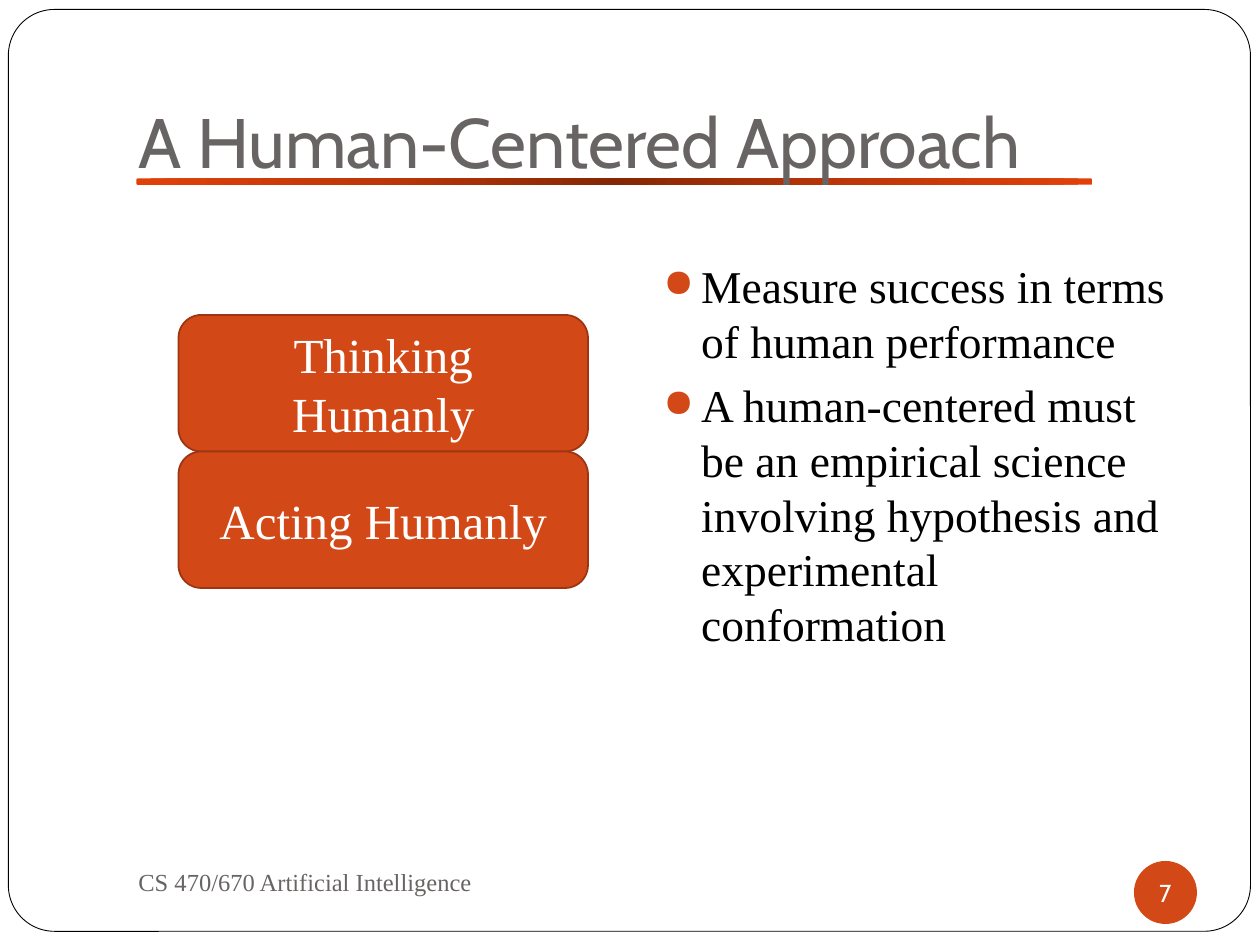
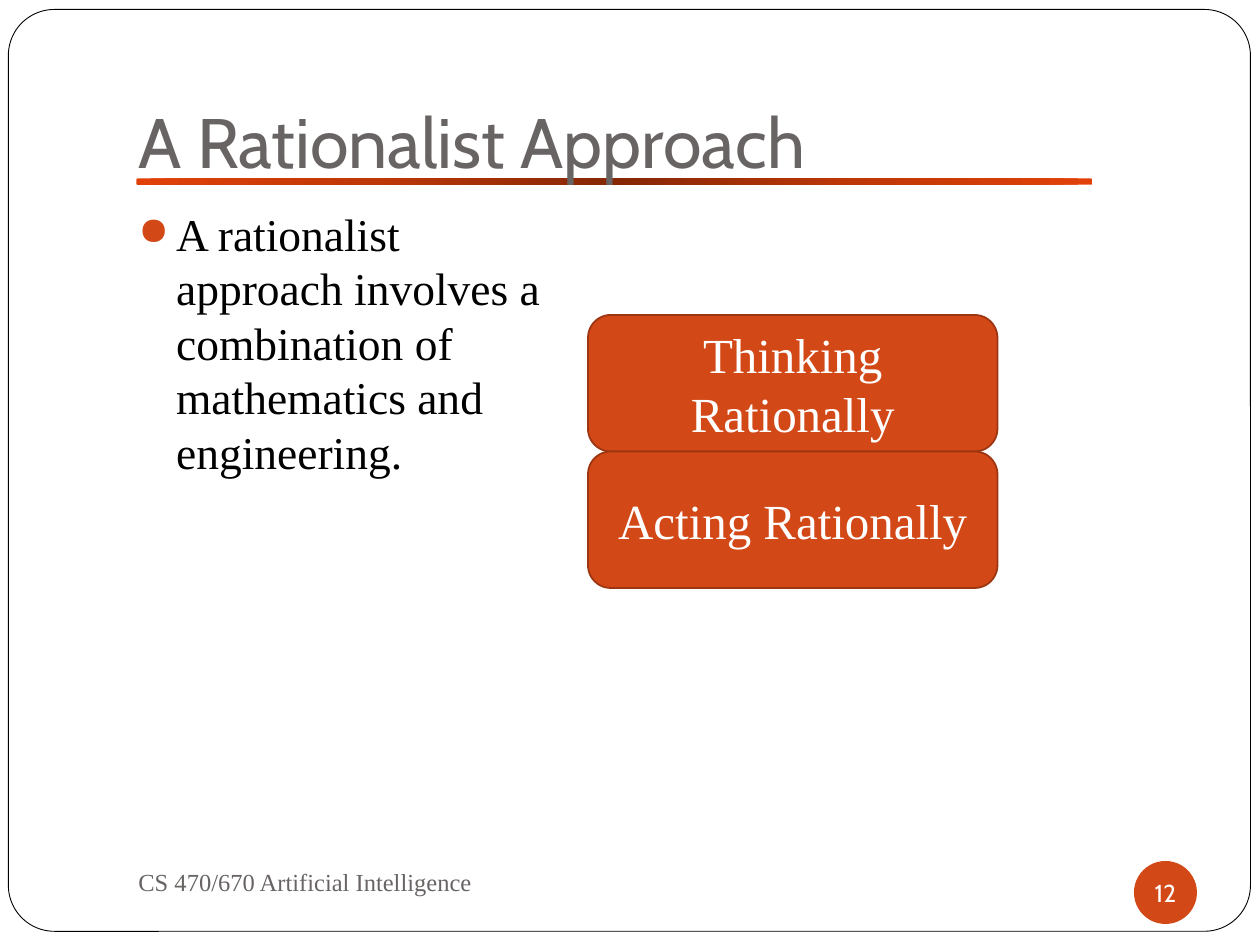
from dataclasses import dataclass

import pptx
import pptx.dml.color
import pptx.enum.shapes
import pptx.enum.text
import pptx.oxml
import pptx.oxml.ns
import pptx.util
from lxml import etree

SHAPES = pptx.enum.shapes.MSO_SHAPE
ALIGN = pptx.enum.text.PP_ALIGN
ANCHOR = pptx.enum.text.MSO_ANCHOR
EMU_PER_PX = 7620  # 120 px to the inch


@dataclass(frozen=True)
class Theme:
    heading_font: str = "Cabin"
    body_font: str = "Times New Roman"
    paper: str = "FFFFFF"
    ink: str = "000000"
    muted: str = "696464"
    accent: str = "D34817"
    accent_edge: str = "9C3511"
    rule_stops: tuple = ((0, "852705"), (50, "BE3708"), (100, "E14109"))
    title_size: int = 40
    box_size: int = 28
    body_size: int = 26
    small_size: int = 14


def px(length):
    return pptx.util.Emu(length * EMU_PER_PX)


def rgb(color):
    return pptx.dml.color.RGBColor.from_string(color)


def write_text(shape, *paragraphs, font, size, color, align=ALIGN.LEFT,
               anchor=ANCHOR.TOP, insets=(12, 6, 12, 6), wrap=True,
               bullet_color=None, space_before=0):
    frame = shape.text_frame
    frame.word_wrap = wrap
    frame.vertical_anchor = anchor
    (frame.margin_left, frame.margin_top,
     frame.margin_right, frame.margin_bottom) = map(px, insets)
    for index, text in enumerate(paragraphs):
        paragraph = frame.add_paragraph() if index else frame.paragraphs[0]
        paragraph.text = text
        paragraph.alignment = align
        if bullet_color:
            add_bullet(paragraph, bullet_color)
        if index:
            paragraph.space_before = pptx.util.Pt(space_before)
        paragraph.font.name = font
        paragraph.font.size = pptx.util.Pt(size)
        paragraph.font.color.rgb = rgb(color)
        for run in paragraph.runs:
            run.font.name = font
            run.font.size = pptx.util.Pt(size)
            run.font.color.rgb = rgb(color)


def add_bullet(paragraph, color, indent=36):
    properties = paragraph._p.get_or_add_pPr()
    properties.set("marL", str(px(indent)))
    properties.set("indent", str(-px(indent)))
    qn = pptx.oxml.ns.qn
    bullet_color = etree.SubElement(properties, qn("a:buClr"))
    etree.SubElement(bullet_color, qn("a:srgbClr"), val=color)
    etree.SubElement(properties, qn("a:buSzPct"), val="85000")
    etree.SubElement(properties, qn("a:buChar"), char="●")


def fill_radial(shape, stops):
    """Fill with a gradient that runs from the centre outwards."""
    shape.fill.background()
    stop_xml = "".join(
        f'<a:gs pos="{percent * 1000}"><a:srgbClr val="{color}"/></a:gs>'
        for percent, color in stops)
    gradient = pptx.oxml.parse_xml(
        f'<a:gradFill {pptx.oxml.ns.nsdecls("a")}><a:gsLst>{stop_xml}</a:gsLst>'
        '<a:path path="circle"><a:fillToRect l="50000" t="50000" r="50000" b="50000"/>'
        '</a:path></a:gradFill>')
    properties = shape._element.spPr
    properties.replace(properties.find(pptx.oxml.ns.qn("a:noFill")), gradient)


class Deck:
    def __init__(self, theme):
        self.theme = theme
        self.presentation = pptx.Presentation()
        self.presentation.slide_width = px(1200)
        self.presentation.slide_height = px(900)
        self.slide = None

    def shape(self, kind, bounds, fill=None, line=None, line_width=1):
        shape = self.slide.shapes.add_shape(kind, *map(px, bounds))
        shape.shadow.inherit = False
        if fill:
            shape.fill.solid()
            shape.fill.fore_color.rgb = rgb(fill)
        if line:
            shape.line.color.rgb = rgb(line)
            shape.line.width = pptx.util.Pt(line_width)
        else:
            shape.line.fill.background()
        return shape

    def text(self, bounds, *paragraphs, **text_format):
        box = self.slide.shapes.add_textbox(*map(px, bounds))
        write_text(box, *paragraphs, **text_format)

    def new_slide(self, title, number):
        theme = self.theme
        blank = self.presentation.slide_layouts[6]
        self.slide = self.presentation.slides.add_slide(blank)
        frame = self.shape(SHAPES.ROUNDED_RECTANGLE, (8, 9, 1183, 878),
                           fill=theme.paper, line=theme.ink, line_width=0.5)
        frame.adjustments[0] = 0.05
        rule = self.shape(SHAPES.ROUNDED_RECTANGLE, (130, 170, 910, 6))
        fill_radial(rule, theme.rule_stops)
        self.text((120, 36, 1020, 150), title, font=theme.heading_font,
                  size=theme.title_size, color=theme.muted,
                  anchor=ANCHOR.BOTTOM, insets=(12, 6, 12, 12))
        self.text((120, 810, 520, 60), "CS 470/670 Artificial Intelligence",
                  font=theme.body_font, size=theme.small_size,
                  color=theme.muted, anchor=ANCHOR.MIDDLE)
        badge = self.shape(SHAPES.OVAL, (1080, 820, 60, 60), fill=theme.accent)
        write_text(badge, str(number), font=theme.heading_font,
                   size=theme.small_size, color=theme.paper, align=ALIGN.CENTER,
                   anchor=ANCHOR.MIDDLE, insets=(0, 0, 0, 0), wrap=False)

    def bullets(self, bounds, *items):
        theme = self.theme
        self.text(bounds, *items, font=theme.body_font, size=theme.body_size,
                  color=theme.ink, bullet_color=theme.accent, space_before=5.8)

    def box_stack(self, left, *labels, top=300, width=390, height=130):
        theme = self.theme
        for row, label in enumerate(labels):
            box = self.shape(SHAPES.ROUNDED_RECTANGLE,
                             (left, top + row * height, width, height),
                             fill=theme.accent, line=theme.accent_edge)
            write_text(box, label, font=theme.body_font, size=theme.box_size,
                       color=theme.paper, align=ALIGN.CENTER, anchor=ANCHOR.MIDDLE)


def main():
    deck = Deck(Theme())

    deck.new_slide("A Human-Centered Approach", 7)
    deck.bullets((620, 240, 520, 550),
                 "Measure success in terms of human performance",
                 "A human-centered must be an empirical science involving "
                 "hypothesis and experimental conformation")
    deck.box_stack(170, "Thinking Humanly", "Acting Humanly")

    deck.new_slide("A Rationalist Approach", 12)
    deck.bullets((120, 190, 420, 600),
                 "A rationalist approach involves a combination of "
                 "mathematics and engineering.")
    deck.box_stack(560, "Thinking Rationally", "Acting Rationally")

    deck.presentation.save("out.pptx")


if __name__ == "__main__":
    main()
